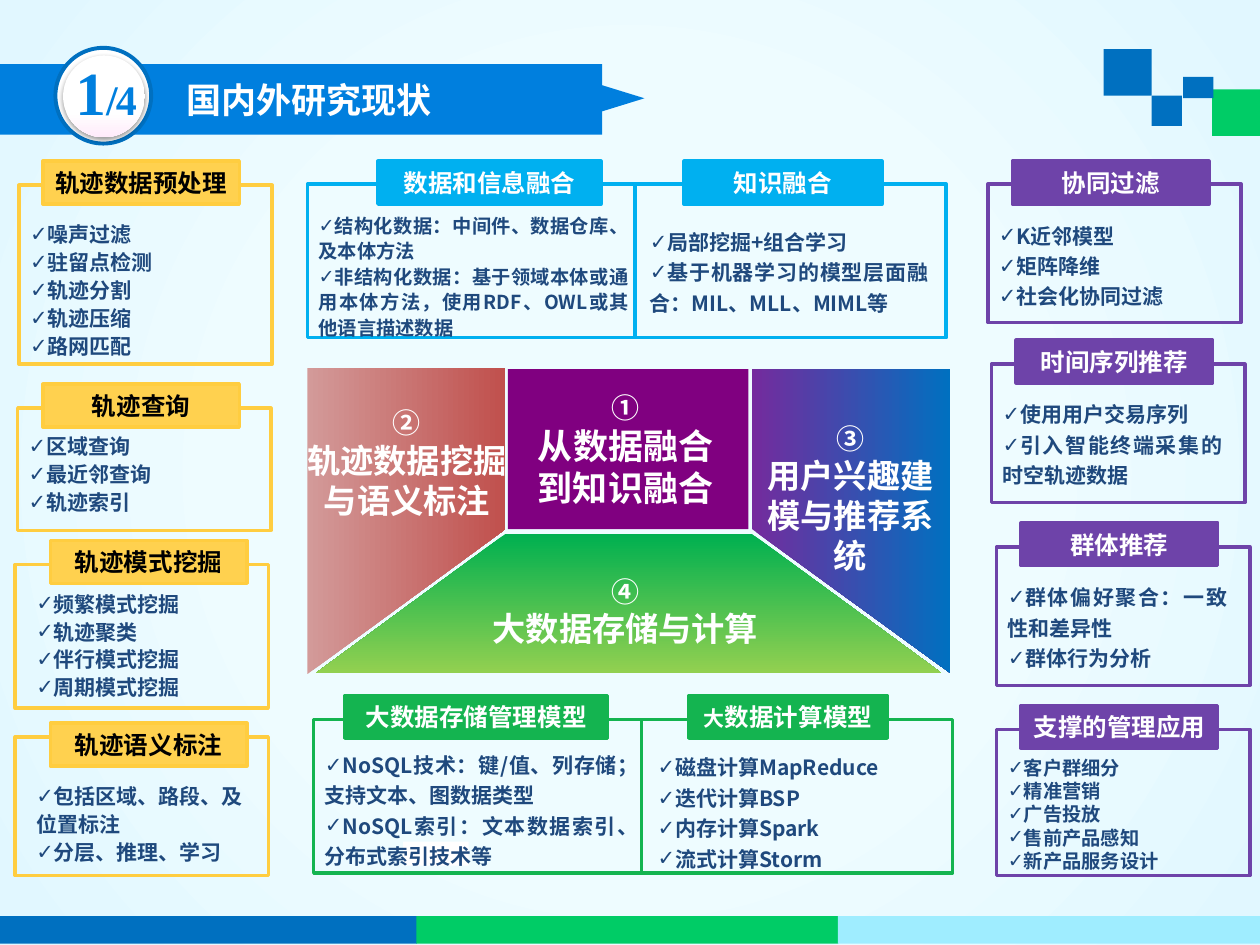
from dataclasses import dataclass

from lxml import etree
from pptx import Presentation
from pptx import util as u
from pptx.dml.color import RGBColor
from pptx.enum import shapes as sh, text as tx
from pptx.oxml.ns import qn

# The slide is a grid of 100 columns by 75 rows.
CELL = u.Inches(0.1)
SANS, SERIF, PLAIN = "Noto Sans CJK SC", "Times New Roman", "Arial"
LINE = 1.21
RECT, OVAL = sh.MSO_SHAPE.RECTANGLE, sh.MSO_SHAPE.OVAL
LEFT, MID, JUST = tx.PP_ALIGN.LEFT, tx.PP_ALIGN.CENTER, tx.PP_ALIGN.JUSTIFY

HEX = {
    "banner": "007FDE", "blue": "0070C0", "lime": "00CC66", "ice": "9FEDFF",
    "white": "FFFFFF", "black": "000000", "navy": "1F497D", "plum": "800080",
    "sky": "00B0F0", "gold": "FFCD40", "sand": "FFD14F", "green": "14B450",
    "violet": "6E43A9",
}

Box = tuple[float, float, float, float]


@dataclass
class Span:
    text: str
    size: float
    font: str = SANS
    tone: str = "white"
    track: float = 0


@dataclass
class Card:
    tone: str
    frame: Box
    tab: tuple[float, float, float]
    head: list[Span]
    body: Box
    items: list[str]
    size: float = 12
    lead: float = 1.2
    align: tx.PP_ALIGN = JUST


@dataclass
class Panel:
    points: list[tuple[float, float]]
    stops: list[tuple[int, str]]
    angle: int


def grid(*vals: float) -> list[int]:
    return [round(v * CELL) for v in vals]


def color(name: str) -> RGBColor:
    return RGBColor.from_string(HEX[name])


def blend(fill, root, stops: list[tuple[int, str]], angle: int | None) -> None:
    """Fill with a linear gradient, or a radial one when angle is None."""
    fill.gradient()
    node = next(root.iter(qn("a:gradFill")))
    for kid in list(node):
        node.remove(kid)
    row = etree.SubElement(node, qn("a:gsLst"))
    for pos, tone in stops:
        stop = etree.SubElement(row, qn("a:gs"), pos=str(pos * 1000))
        etree.SubElement(stop, qn("a:srgbClr"), val=tone)
    if angle is None:
        way = etree.SubElement(node, qn("a:path"), path="circle")
        etree.SubElement(way, qn("a:fillToRect"), l="50000", t="50000", r="50000", b="50000")
    else:
        etree.SubElement(node, qn("a:lin"), ang=str(angle * 60000), scaled="0")


def block(slide, box: Box, fill: str = "", line: str = "", width: float = 2, kind=RECT):
    shape = slide.shapes.add_shape(kind, *grid(*box))
    shape.shadow.inherit = False
    if fill:
        shape.fill.solid()
        shape.fill.fore_color.rgb = color(fill)
    else:
        shape.fill.background()
    if line:
        shape.line.color.rgb = color(line)
        shape.line.width = u.Pt(width)
    else:
        shape.line.fill.background()
    return shape


def write(frame, paras: list[list[Span]], align=LEFT, lead: float = 0,
          mark: str = "", wrap: bool = True) -> None:
    frame.word_wrap = wrap
    for i, spans in enumerate(paras):
        para = frame.add_paragraph() if i else frame.paragraphs[0]
        para.alignment = align
        if lead:
            para.line_spacing = u.Pt(lead)
        if mark:
            props = para._p.get_or_add_pPr()
            props.set("marL", "0")
            props.set("indent", "0")
            etree.SubElement(props, qn("a:buFont"), typeface=PLAIN)
            etree.SubElement(props, qn("a:buChar"), char=mark)
        for span in spans:
            run = para.add_run()
            run.text = span.text
            run.font.size = u.Pt(span.size)
            run.font.bold = True
            run.font.name = span.font
            run.font.color.rgb = color(span.tone)
            props = run._r.get_or_add_rPr()
            etree.SubElement(props, qn("a:ea"), typeface=span.font)
            if span.track:
                props.set("spc", str(round(span.track * 100)))


def label(slide, box: Box, paras: list[list[Span]], **style) -> None:
    write(slide.shapes.add_textbox(*grid(*box)).text_frame, paras, **style)


def draw_card(slide, card: Card) -> None:
    block(slide, card.frame, line=card.tone)
    fill = "sand" if card.tone == "gold" else card.tone
    frame = block(slide, (*card.tab, 3.4), fill, card.tone).text_frame
    frame.vertical_anchor = tx.MSO_ANCHOR.MIDDLE
    frame.margin_left = frame.margin_right = 0
    write(frame, [card.head], MID, lead=14 * LINE)
    rows = [[Span(item, card.size, tone="navy")] for item in card.items]
    label(slide, card.body, rows, align=card.align, mark="✓",
          lead=round(card.size * LINE * card.lead, 1))


def draw_panel(slide, panel: Panel) -> None:
    first, *rest = [grid(*point) for point in panel.points]
    path = slide.shapes.build_freeform(*first, scale=1.0)
    path.add_line_segments(rest, close=True)
    shape = path.convert_to_shape()
    shape.shadow.inherit = False
    shape.line.fill.background()
    blend(shape.fill, shape._element, panel.stops, panel.angle)


def draw_badge(slide) -> None:
    block(slide, (4.4, 3.8, 7.6, 7.6), "white", "blue", 2.25, OVAL)
    disc = block(slide, (5, 4.4, 6.5, 6.5), "white", kind=OVAL)
    blend(disc.fill, disc._element, [(0, "FFFFFF"), (70, "FFFFFF"), (100, "FFEBFA")], 90)
    glow = disc._element.spPr.find(qn("a:effectLst"))
    cast = etree.SubElement(glow, qn("a:outerShdw"), blurRad=str(u.Pt(3.1)),
                            dist=str(u.Pt(1.6)), dir="5400000", rotWithShape="0")
    tint = etree.SubElement(cast, qn("a:srgbClr"), val=HEX["black"])
    etree.SubElement(tint, qn("a:alpha"), val="38000")
    label(slide, (5, 3.8, 9.6, 6.9), [[Span("1", 35, SERIF, "banner", -2.2),
                                     Span("/4", 24, SERIF, "banner", -1)]])


def gold(x, y, h, tab, head, body, items) -> Card:
    return Card("gold", (x, y, 20.1, h), (*tab, 15.6), [Span(head, 14, tone="black")],
                body, items, lead=1.1, align=LEFT)


def violet(x, y, h, top, head, body, items, **style) -> Card:
    return Card("violet", (x, y, 20.1, h), (x + 1.95, top, 15.6), [Span(head, 14)],
                (x - 0.1, *body), items, **style)


BLOCKS = [
    ((-0.2, 5.1, 48, 5.6), "banner"), ((96.2, 7.1, 3.8, 3.7), "lime"),
    ((87.6, 3.9, 3.8, 3.7), "blue"), ((91.4, 7.6, 2.4, 2.4), "blue"),
    ((93.9, 6.1, 2.4, 1.7), "blue"),
    *[((-0.4 + 33.45 * i, 72.7, 33.5, 2.2), tone) for i, tone in enumerate(("blue", "lime", "ice"))],
]
PANELS = [
    Panel([(74.7, 53.4), (59.7, 42.4), (40.1, 42.4), (25.1, 53.4)],
          [(0, "00B050"), (100, "92D050")], 90),
    Panel([(40.1, 42), (40.1, 29.2), (24.4, 29.2), (24.4, 53.5)],
          [(0, "D39A99"), (100, "C0504D")], 0),
    Panel([(59.7, 42), (59.7, 29.3), (75.4, 29.3), (75.4, 53.4)],
          [(0, "742B9D"), (100, "0070C0")], 0),
]
THEMES = [
    ((38, 44.6, 23.3, 7.4), "④", ["大数据存储与计算"], 19, False),
    ((23.3, 31.2, 18, 10.6), "②", ["轨迹数据挖掘", "与语义标注"], 19, False),
    ((58.9, 32.4, 17.2, 13.8), "③", ["用户兴趣建模与推荐系统"], 19, True),
    ((41.7, 29.8, 15.9, 10.4), "①", ["从数据融合到知识融合"], 20, True),
]
CARDS = [
    Card("sky", (24.4, 14.6, 26, 12.2), (30, 12.8, 17.7), [Span("数据和信息融合", 14)],
         (24.3, 16.3, 26.6, 11), ["结构化数据：中间件、数据仓库、及本体方法",
         "非结构化数据：基于领域本体或通用本体方法，使用RDF、OWL或其他语言描述数据"], 11, 1.1),
    Card("sky", (50.4, 14.6, 24.7, 12.2), (54.3, 12.8, 15.7), [Span("知识融合", 14)],
         (50.6, 17.3, 24.1, 8.3), ["局部挖掘+组合学习", "基于机器学习的模型层面融合：MIL、MLL、MIML等"]),
    gold(1.5, 14.7, 14.2, (3.4, 12.8), "轨迹数据预处理", (1.4, 16.9, 19.4, 12.1),
         ["噪声过滤", "驻留点检测", "轨迹分割", "轨迹压缩", "路网匹配"]),
    gold(1.4, 32.4, 9.7, (3.4, 30.5), "轨迹查询", (1.3, 33.7, 19.4, 7.5),
         ["区域查询", "最近邻查询", "轨迹索引"]),
    gold(1.2, 44.8, 11.4, (4, 42.9), "轨迹模式挖掘", (1.9, 46.2, 19.4, 9.7),
         ["频繁模式挖掘", "轨迹聚类", "伴行模式挖掘", "周期模式挖掘"]),
    gold(1.2, 58.5, 11, (4, 57.4), "轨迹语义标注", (1.9, 61.5, 19.4, 7.5),
         ["包括区域、路段、及位置标注", "分层、推理、学习"]),
    Card("green", (24.9, 57.1, 26, 12.2), (27.4, 55.2, 20.8), [Span("大数据存储管理模型", 14)],
         (24.8, 58.8, 25.2, 10.7), ["NoSQL技术：键/值、列存储；支持文本、图数据类型",
         "NoSQL索引：文本数据索引、分布式索引技术等"]),
    Card("green", (50.9, 57.1, 24.7, 12.2), (54.7, 55.2, 15.7),
         [Span("大", 12), Span("数据计算模型", 14)], (51.2, 59, 24.1, 10.5),
         ["磁盘计算MapReduce", "迭代计算BSP", "内存计算Spark", "流式计算Storm"], align=LEFT),
    violet(78.4, 14.6, 11, 12.8, "协同过滤", (16.8, 19.4, 8.1),
           ["K近邻模型", "矩阵降维", "社会化协同过滤"], align=LEFT),
    violet(78.7, 28.9, 11, 27, "时间序列推荐", (31, 19.4, 8.3),
           ["使用用户交易序列", "引入智能终端采集的时空轨迹数据"]),
    violet(79.1, 43.4, 11, 41.5, "群体推荐", (45.5, 19.4, 8.1),
           ["群体偏好聚合：一致性和差异性", "群体行为分析"]),
    violet(79.1, 57.9, 11.6, 56, "支撑的管理应用", (59.5, 19.4, 10.3),
           ["客户群细分", "精准营销", "广告投放", "售前产品感知", "新产品服务设计"], size=11, lead=1),
]


def main() -> None:
    deck = Presentation()
    deck.slide_width, deck.slide_height = grid(100, 75)
    slide = deck.slides.add_slide(deck.slide_layouts[5])
    blend(slide.background.fill, slide._element,
          [(19, "EFFCFF"), (50, "EEFCFF"), (98, "E1F7FF")], None)
    for box, tone in BLOCKS:
        block(slide, box, tone)
    tip = block(slide, (48.4, 6.1, 2.1, 3.4), "banner", kind=sh.MSO_SHAPE.ISOSCELES_TRIANGLE)
    tip.rotation = 90
    draw_badge(slide)

    title = slide.shapes.title
    title.left, title.top, title.width, title.height = grid(13.8, 5.7, 24.4, 4.4)
    title.text_frame.vertical_anchor = tx.MSO_ANCHOR.TOP
    write(title.text_frame, [[Span("国内外研究现状", 20)]], lead=20 * LINE)
    slide.shapes._spTree.append(title._element)

    block(slide, (40.3, 29.3, 19.1, 12.7), "plum")
    for panel in PANELS:
        draw_panel(slide, panel)
    for box, sign, names, size, wrap in THEMES:
        paras = [[Span(sign, 16)]] + [[Span(name, size)] for name in names]
        label(slide, box, paras, align=MID, lead=round(size * LINE, 1), wrap=wrap)
    block(slide, (32, 66.8, 5.2, 1.9), "white")
    for card in CARDS:
        draw_card(slide, card)
    deck.save("out.pptx")


if __name__ == "__main__":
    main()
